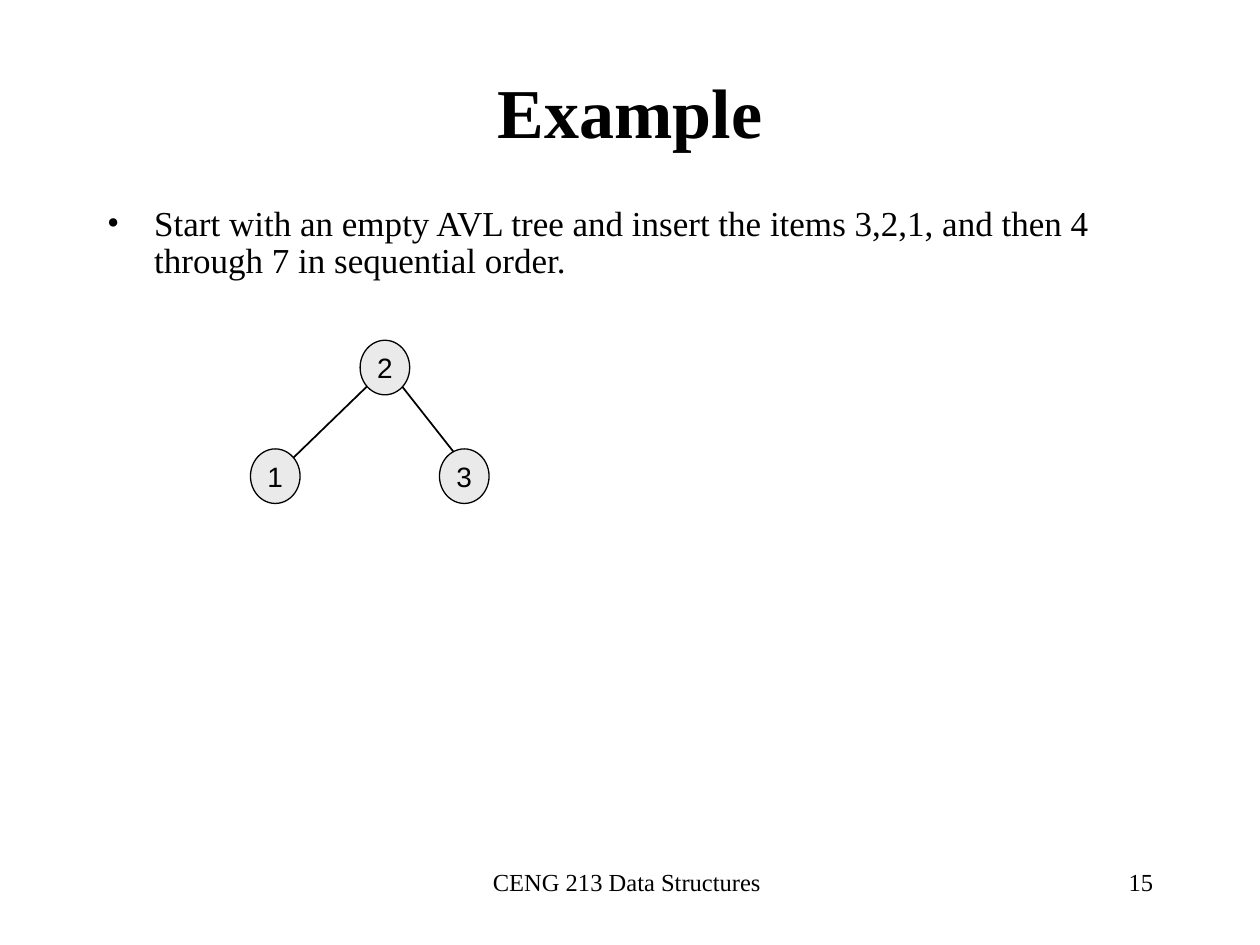
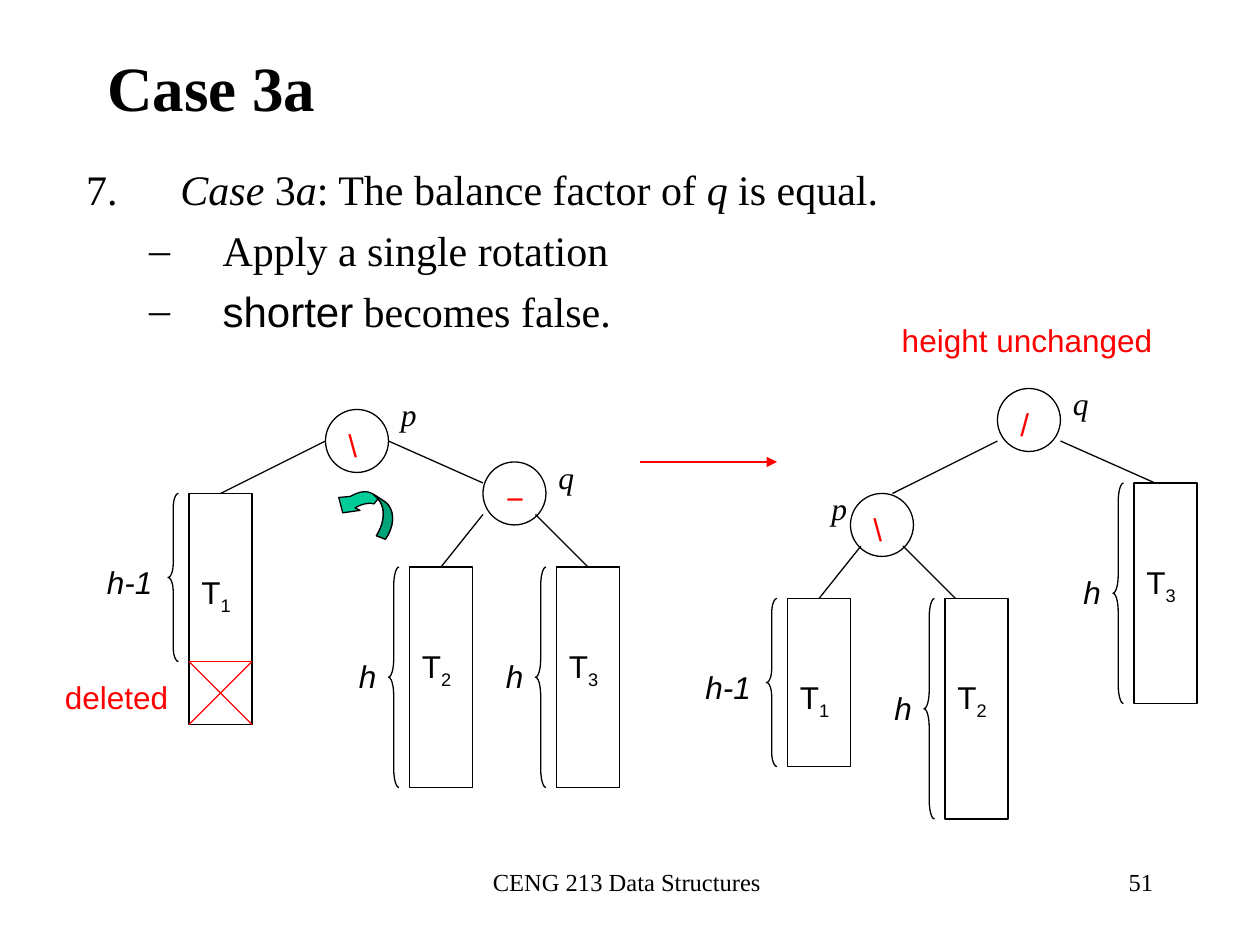
import dataclasses
import typing

import lxml.etree
import pptx
import pptx.dml.color
import pptx.enum.shapes
import pptx.enum.text
import pptx.oxml.ns
import pptx.util

Cm = pptx.util.Cm
Pt = pptx.util.Pt
Kind = pptx.enum.shapes.MSO_SHAPE
Align = pptx.enum.text.PP_ALIGN
Anchor = pptx.enum.text.MSO_ANCHOR
Fit = pptx.enum.text.MSO_AUTO_SIZE
Runs = list[tuple[str, dict[str, typing.Any]]]
Spot = tuple[float, float]


@dataclasses.dataclass(frozen=True)
class Theme:
    black: str = "000000"
    red: str = "FF0000"
    grey: str = "EAEAEA"
    green: str = "00CC99"
    shade: str = "00A47B"
    serif: str = "Times New Roman"
    sans: str = "Arial"
    title: int = 40
    case: int = 36
    body: int = 20
    list: int = 24
    label: int = 18
    key: int = 16
    foot: int = 14
    thin: float = 0.75


@dataclasses.dataclass(frozen=True)
class Box:
    x: float
    y: float
    w: float
    h: float


@dataclasses.dataclass(frozen=True)
class Node:
    x: float
    y: float
    sign: str
    name: str
    dx: float
    dy: float


@dataclasses.dataclass(frozen=True)
class Bar:
    x: float
    y: float
    tall: float
    span: float
    name: str
    tag: str


@dataclasses.dataclass(frozen=True)
class Item:
    runs: Runs
    bullet: tuple[str, dict[str, str]]
    level: int
    left: float
    hang: float
    format: dict[str, typing.Any]


THEME = Theme()
STEP = 2.54 / 12
FOOT = "CENG 213 Data Structures "
SIDE = 6
LINE = 4.8
SERIF = {"name": THEME.serif}
SANS = {"name": THEME.sans}
SLANT = {"italic": True}


def grid(*cells: float) -> list[float]:
    return [cell * STEP for cell in cells]


def cells(*sides: float) -> Box:
    return Box(*grid(*sides))


def sizes(box: Box) -> list[pptx.util.Length]:
    return [Cm(side) for side in dataclasses.astuple(box)]


def rgb(color: str) -> pptx.dml.color.RGBColor:
    return pptx.dml.color.RGBColor.from_string(color)


def apply(thing: typing.Any, format: dict[str, typing.Any]) -> None:
    for key, value in format.items():
        setattr(thing, key, value)


def tag(parent: typing.Any, name: str, **attrs: str) -> typing.Any:
    child = lxml.etree.SubElement(parent, pptx.oxml.ns.qn(name))
    for key, value in attrs.items():
        child.set(key, value)
    return child


def write(par: typing.Any, runs: Runs, size: int, color: str = THEME.black) -> None:
    for text, look in runs:
        run = par.add_run()
        run.text = text
        format = {**SERIF, "size": Pt(size), **look}
        base = format.pop("base", None)
        apply(run.font, format)
        run.font.color.rgb = rgb(color)
        if base:
            run.font._element.set("baseline", base)


def put_text(slide: typing.Any, box: Box, runs: Runs, size: int = THEME.label,
             color: str = THEME.black, align: typing.Any = Align.LEFT) -> None:
    frame = slide.shapes.add_textbox(*sizes(box)).text_frame
    frame.word_wrap = True
    par = frame.paragraphs[0]
    par.alignment = align
    write(par, runs, size, color)


def put_label(slide: typing.Any, x: float, y: float, w: float, text: str,
              color: str = THEME.black, **look: typing.Any) -> None:
    put_text(slide, cells(x, y, w, LINE), [(text, {**SANS, **look})], color=color)


def paint(shape: typing.Any, fill: str | None = None) -> None:
    shape.shadow.inherit = False
    if fill:
        shape.fill.solid()
        shape.fill.fore_color.rgb = rgb(fill)
    else:
        shape.fill.background()
    shape.line.color.rgb = rgb(THEME.black)
    shape.line.width = Pt(THEME.thin)


def put_shape(slide: typing.Any, kind: typing.Any, box: Box, fill: str | None = None) -> typing.Any:
    shape = slide.shapes.add_shape(kind, *sizes(box))
    paint(shape, fill)
    return shape


def put_line(slide: typing.Any, ends: list[float], color: str = THEME.black,
             width: float = THEME.thin, head: bool = False) -> None:
    line = slide.shapes.add_connector(
        pptx.enum.shapes.MSO_CONNECTOR.STRAIGHT, *[Cm(end) for end in ends])
    line.line.color.rgb = rgb(color)
    line.line.width = Pt(width)
    if head:
        tag(line.line._get_or_add_ln(), "a:tailEnd", type="triangle")
    tag(line._element.spPr, "a:effectLst")


def put_node(slide: typing.Any, node: Node) -> None:
    put_shape(slide, Kind.OVAL, cells(node.x, node.y, SIDE, SIDE))
    put_label(slide, node.x + 1, node.y + 1, 5, node.sign, THEME.red)
    put_label(slide, node.x + node.dx, node.y + node.dy, 7, node.name, **SERIF, **SLANT)


def put_bar(slide: typing.Any, bar: Bar) -> None:
    put_shape(slide, Kind.RECTANGLE, cells(bar.x, bar.y, SIDE, bar.tall))
    letter, digit = bar.name
    put_text(slide, cells(bar.x, bar.y + 7, SIDE, 5.3),
             [(letter, SANS), (digit, {**SANS, "base": "-25000"})])
    brace = put_shape(slide, Kind.LEFT_BRACE, cells(bar.x - 2, bar.y, 1, bar.span))
    brace.adjustments[0] = bar.span / 12
    dx, dy, w = (6, 8, 6) if bar.tag == "h" else (9, 6, 11)
    put_label(slide, bar.x - dx, bar.y + dy, w, bar.tag, **SLANT)


def curve(a: Spot, b: Spot, c: Spot, d: Spot, count: int = 10) -> list[Spot]:
    spots = []
    for step in range(count + 1):
        t = step / count
        u = 1 - t
        spots.append(tuple(u**3 * i + 3 * u * u * t * j + 3 * u * t * t * k + t**3 * m
                           for i, j, k, m in zip(a, b, c, d)))
    return spots


def put_turn(slide: typing.Any) -> None:
    outer = curve((7.77, 10.87), (7.98, 10.57), (7.95, 10.24), (7.75, 10.11))
    top = curve((7.52, 9.96), (7.39, 9.88), (7.24, 9.91), (7.06, 10.01))
    tip = [(6.83, 10.03), (6.91, 10.34), (7.26, 10.29)]
    under = curve((7.16, 10.24), (7.29, 10.16), (7.44, 10.13), (7.54, 10.16))
    inner = curve((7.62, 10.06), (7.77, 10.21), (7.77, 10.52), (7.59, 10.8))
    for spots, fill in ((outer + top + tip + under + inner, THEME.green),
                        (outer + top[:1] + inner, THEME.shade)):
        first, *rest = [(Cm(x), Cm(y)) for x, y in spots]
        pen = slide.shapes.build_freeform(*first)
        pen.add_line_segments(rest, close=True)
        paint(pen.convert_to_shape(), fill)


def place(holder: typing.Any, box: Box, anchor: typing.Any) -> typing.Any:
    apply(holder, dict(zip(("left", "top", "width", "height"), sizes(box))))
    frame = holder.text_frame
    apply(frame, {"word_wrap": True, "auto_size": Fit.NONE, "vertical_anchor": anchor})
    return frame


def put_list(slide: typing.Any, box: Box, items: list[Item], size: int) -> None:
    frame = place(slide.placeholders[1], box, Anchor.TOP)
    for spot, item in enumerate(items):
        par = frame.add_paragraph() if spot else frame.paragraphs[0]
        apply(par, {"level": item.level, "alignment": Align.LEFT, **item.format})
        props = par._p.get_or_add_pPr()
        props.set("marL", str(Cm(item.left)))
        props.set("indent", str(-Cm(item.hang)))
        tag(tag(props, "a:buClr"), "a:srgbClr", val=THEME.black)
        tag(props, "a:buFont", typeface=THEME.serif)
        name, attrs = item.bullet
        tag(props, name, **attrs)
        write(par, item.runs, size)


def start(deck: typing.Any, title: str, box: Box, size: int, align: typing.Any,
          number: str) -> typing.Any:
    slide = deck.slides.add_slide(deck.slide_layouts[1])
    par = place(slide.shapes.title, box, Anchor.MIDDLE).paragraphs[0]
    par.alignment = align
    write(par, [(title, {"bold": True})], size)
    put_text(slide, cells(41, 82, 38, 6), [(FOOT, {})], THEME.foot, align=Align.CENTER)
    put_text(slide, cells(86, 82, 25, 6), [(number, {})], THEME.foot, align=Align.RIGHT)
    return slide


def draw_sample(deck: typing.Any) -> None:
    slide = start(deck, "Example", cells(9, 5, 102, 11), THEME.title, Align.CENTER, "15")
    text = ("Start with an empty AVL tree and insert the items 3,2,1, "
            "and then 4 through 7 in sequential order.")
    put_list(slide, cells(9, 19, 102, 10), [
        Item([(text, {})], ("a:buChar", {"char": "•"}), 0, 0.95, 0.95,
             {"line_spacing": 0.9, "space_before": Pt(5)})], THEME.body)
    for ends in ([7.47, 7.72, 5.87, 9.27], [8.05, 7.72, 9.27, 9.27]):
        put_line(slide, ends, width=1)
    for key, x, y in (("1", 5.05, 9.05), ("3", 8.86, 9.05), ("2", 7.26, 6.86)):
        frame = put_shape(slide, Kind.OVAL, Box(x, y, 1, 1.1), THEME.grey).text_frame
        apply(frame, {"word_wrap": False, "vertical_anchor": Anchor.MIDDLE})
        frame.paragraphs[0].alignment = Align.CENTER
        write(frame.paragraphs[0], [(key, SANS)], THEME.key)


def draw_case(deck: typing.Any) -> None:
    slide = start(deck, "Case 3a", cells(9, 5.3, 102, 5.9), THEME.case, Align.LEFT, "51")
    gap = {"space_before": Pt(6)}
    count = ("a:buAutoNum", {"type": "arabicPeriod", "startAt": "7"})
    dash = ("a:buChar", {"char": "–"})
    lead = [(" ", {}), ("Case", SLANT), (" 3", {}), ("a", SLANT),
            (": The balance factor of ", {}), ("q", SLANT), (" is equal.", {})]
    put_list(slide, cells(7, 15, 108, 18), [
        Item(lead, count, 0, 1.69, 1.69, gap),
        Item([("Apply a single rotation", {})], dash, 1, 2.75, 1.48, gap),
        Item([("shorter", SANS), (" becomes false.", {})], dash, 1, 2.75, 1.48, gap),
    ], THEME.list)
    for node in (Node(31, 39, "\\", "p", 6, -2), Node(46, 44, "−", "q", 6, -1),
                 Node(95, 37, "/", "q", 6, -1), Node(81, 47, "\\", "p", -3, -1)):
        put_node(slide, node)
    for bar in (Bar(18, 47, 22, 16, "T1", "h-1"), Bar(39, 54, 21, 21, "T2", "h"),
                Bar(53, 54, 21, 21, "T3", "h"), Bar(75, 57, 16, 16, "T1", "h-1"),
                Bar(90, 57, 21, 21, "T2", "h"), Bar(108, 46, 21, 21, "T3", "h")):
        put_bar(slide, bar)
    for ends in ((31, 42, 21, 47), (37, 42, 46, 46), (46, 49, 42, 54), (51, 49, 56, 54),
                 (95, 42, 85, 47), (101, 42, 110, 46), (82, 52, 78, 57), (86, 52, 91, 57)):
        put_line(slide, grid(*ends))
    for ends in ((18, 63, 24, 63), (18, 63, 24, 69), (24, 63, 18, 69)):
        put_line(slide, grid(*ends), THEME.red)
    put_line(slide, grid(61, 44, 74, 44), THEME.red, head=True)
    put_turn(slide)
    put_label(slide, 5, 64, 14, "deleted", THEME.red)
    put_label(slide, 84.7, 30, 32, "height unchanged", THEME.red)


def main() -> None:
    deck = pptx.Presentation()
    apply(deck, {"slide_width": Cm(25.4), "slide_height": Cm(19.05)})
    draw_sample(deck)
    draw_case(deck)
    deck.save("out.pptx")


if __name__ == "__main__":
    main()
